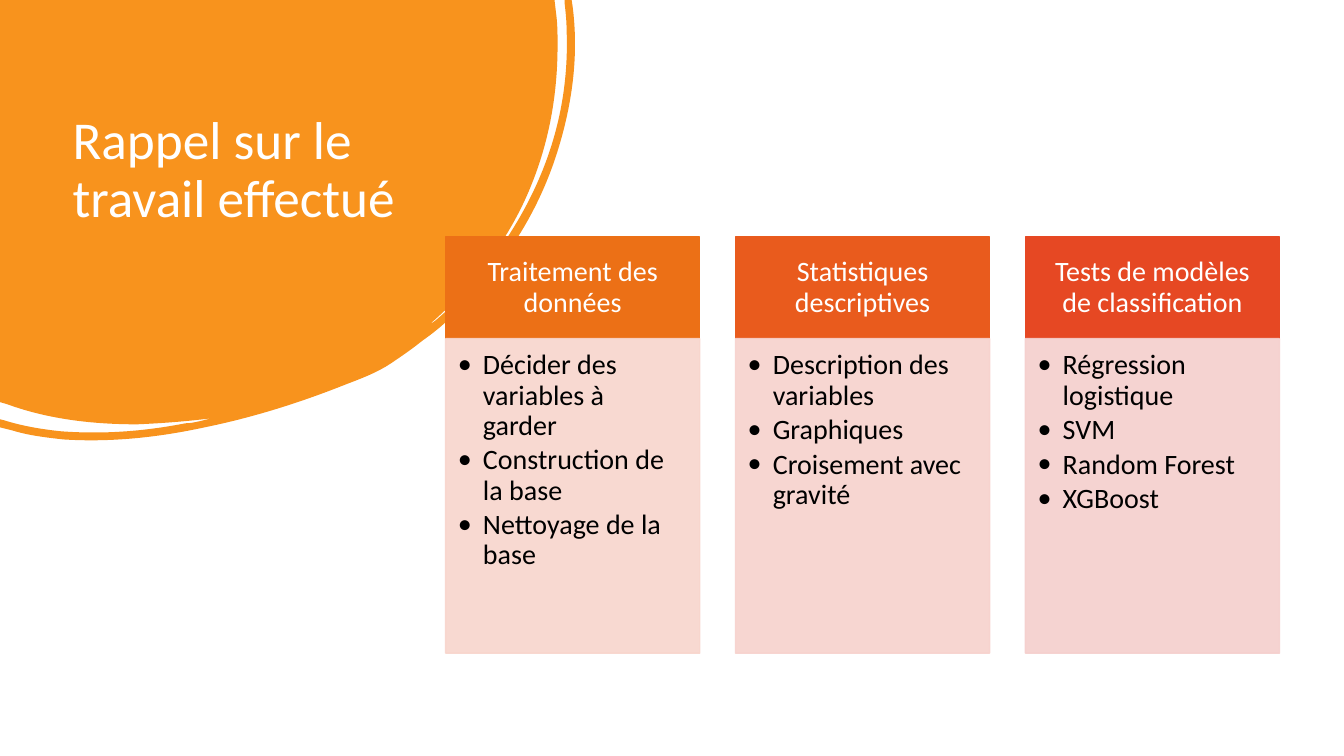
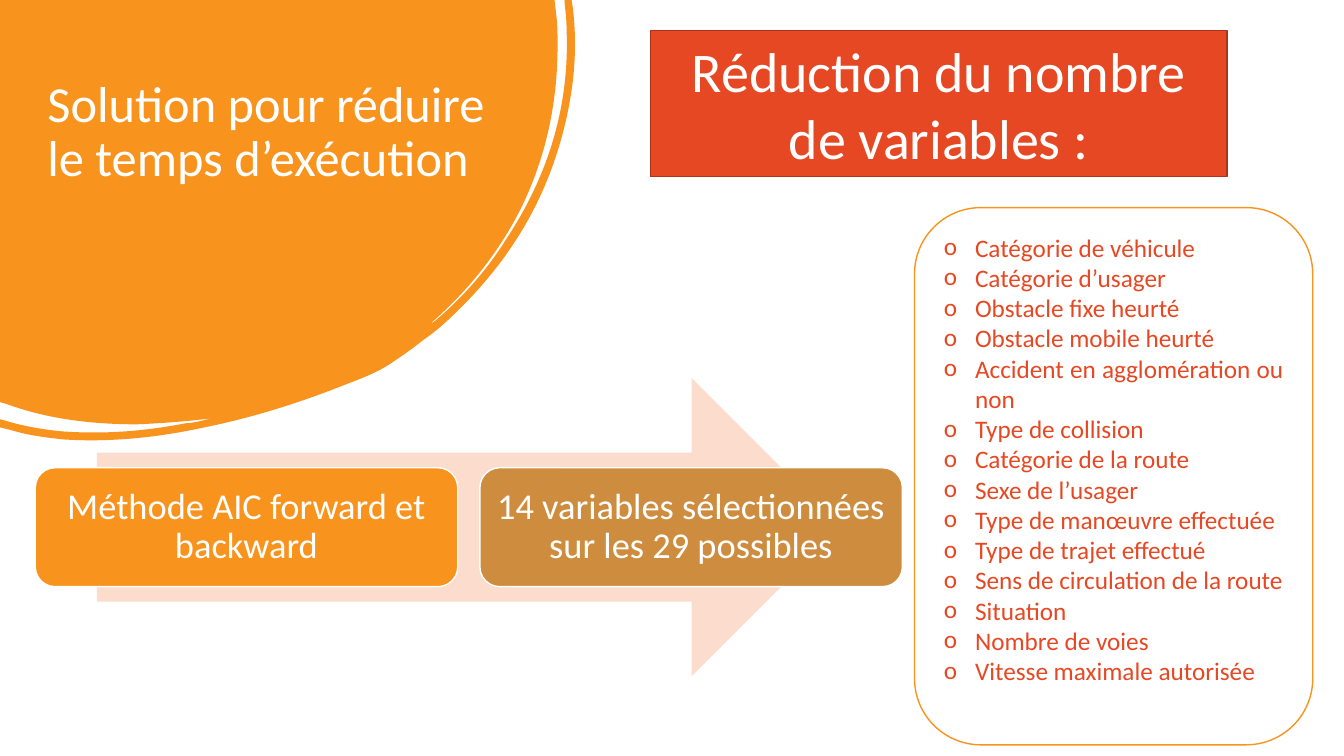
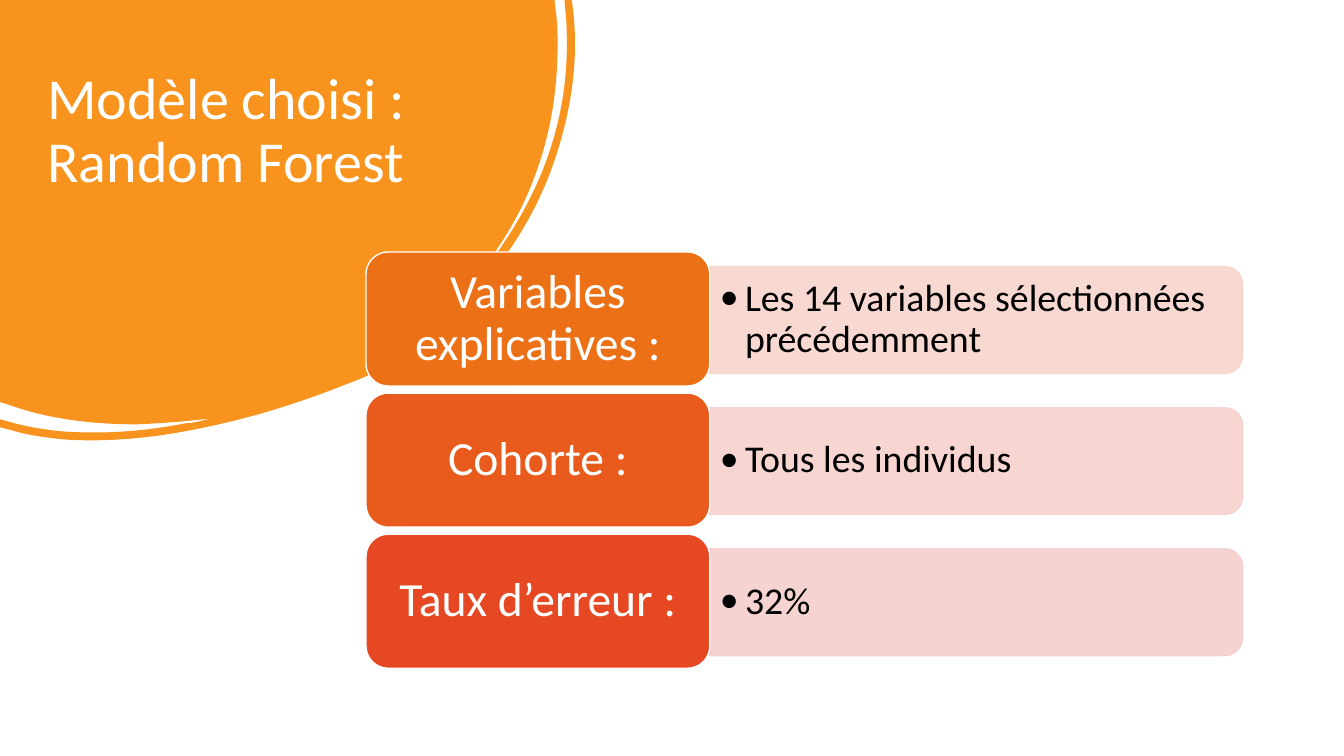
from dataclasses import dataclass

from lxml import etree
from pptx import Presentation
from pptx import util as u
from pptx.dml.color import RGBColor
from pptx.enum import shapes, text
from pptx.oxml.ns import qn

IN = u.Inches
KIND = shapes.MSO_SHAPE
SIDE = text.PP_ALIGN
HOLD = text.MSO_ANCHOR


@dataclass(frozen=True)
class Theme:
    """Colours and type sizes shared by the slides."""
    font: str = "Calibri"
    white: str = "FFFFFF"
    black: str = "000000"
    gold: str = "F8931D"
    tan: str = "CE8D3E"
    peach: str = "FCDCCD"
    red: str = "E64823"
    rust: str = "AA351A"
    heads: tuple = ("EC7016", "E95B1D", "E64823")
    pales: tuple = ("F8D5CC", "F7D2CD", "F5CFCD")
    note: int = 18
    body: int = 20
    step: int = 26
    fact: int = 27
    label: int = 34
    lead: int = 40


T = Theme()

BLOB = [
    (0, 0), (5.5, 0), (5.52, 0.17),
    (5.53, 0.26, 5.53, 0.36, 5.53, 0.45), (5.53, 1.01, 5.42, 1.54, 5.18, 2.04),
    (4.96, 2.49, 4.65, 2.88, 4.27, 3.21), (4.29, 3.21, 4.3, 3.19, 4.32, 3.18),
    (4.59, 2.95, 4.82, 2.69, 5.01, 2.39), (5.43, 1.76, 5.65, 1.07, 5.62, 0.3),
    (5.62, 0.21, 5.61, 0.12, 5.6, 0.03), (5.6, 0), (5.67, 0), (5.68, 0.07),
    (5.74, 0.54, 5.68, 1.02, 5.53, 1.5), (5.33, 2.14, 4.97, 2.68, 4.48, 3.14),
    (4.39, 3.23, 4.29, 3.31, 4.19, 3.38), (4.09, 3.46, 3.99, 3.53, 3.87, 3.61),
    (3.75, 3.69, 3.6, 3.75, 3.44, 3.81), (2.99, 3.99, 2.52, 4.14, 2.03, 4.24),
    (1.57, 4.34, 1.1, 4.39, 0.63, 4.36), (0.45, 4.34, 0.28, 4.32, 0.12, 4.27),
    (0, 4.24), (0, 4.16), (0.04, 4.17),
    (0.23, 4.23, 0.42, 4.26, 0.61, 4.28), (1.03, 4.31, 1.43, 4.28, 1.84, 4.2),
    (1.89, 4.2, 1.93, 4.19, 1.98, 4.18), (2.02, 4.17, 2.06, 4.16, 2.1, 4.15),
    (1.86, 4.18, 1.61, 4.2, 1.36, 4.21), (0.92, 4.21, 0.48, 4.16, 0.07, 4.01),
    (0, 3.99),
]

STAGES = [
    ("Traitement des données",
     ["Décider des variables à garder", "Construction de la base", "Nettoyage de la base"]),
    ("Statistiques descriptives",
     ["Description des variables", "Graphiques", "Croisement avec gravité"]),
    ("Tests de modèles de classification",
     ["Régression logistique", "SVM", "Random Forest", "XGBoost"]),
]

FIELDS = [
    "Catégorie de véhicule", "Catégorie d’usager", "Obstacle fixe heurté",
    "Obstacle mobile heurté", "Accident en agglomération ou non",
    "Type de collision", "Catégorie de la route", "Sexe de l’usager",
    "Type de manœuvre effectuée", "Type de trajet effectué",
    "Sens de circulation de la route", "Situation", "Nombre de voies",
    "Vitesse maximale autorisée",
]

FACTS = [
    ("Variables explicatives :", "Les 14 variables sélectionnées précédemment"),
    ("Cohorte :", "Tous les individus"),
    ("Taux d’erreur :", "32%"),
]


def write(shape, lines, size=T.body, color=T.white, align=SIDE.CENTER, anchor=HOLD.MIDDLE,
          pad=(0.1, 0.05, 0.1, 0.05), space=0.9, after=0, mark=None, dent=0.25):
    """Fill a shape with one formatted paragraph per line."""
    frame = shape.text_frame
    frame.word_wrap = True
    frame.auto_size = text.MSO_AUTO_SIZE.NONE
    frame.vertical_anchor = anchor
    frame.margin_left, frame.margin_top, frame.margin_right, frame.margin_bottom = map(IN, pad)
    lines = [lines] if isinstance(lines, str) else lines
    for i, line in enumerate(lines):
        para = frame.add_paragraph() if i else frame.paragraphs[0]
        para.text = line
        para.alignment = align
        para.line_spacing = space
        para.space_after = u.Pt(after)
        for run in para.runs:
            run.font.name = T.font
            run.font.size = u.Pt(size)
            run.font.color.rgb = RGBColor.from_string(color)
        if mark:
            props = para._p.get_or_add_pPr()
            props.set("marL", str(IN(dent)))
            props.set("indent", str(-IN(dent)))
            etree.SubElement(props, qn("a:buFont"), typeface=T.font)
            etree.SubElement(props, qn("a:buChar"), char=mark)


def paint(shape, fill, line=None, alpha=None):
    """Give a shape its flat fill, outline and opacity."""
    shape.shadow.inherit = False
    shape.fill.solid()
    shape.fill.fore_color.rgb = RGBColor.from_string(fill)
    if line:
        shape.line.color.rgb = RGBColor.from_string(line)
        shape.line.width = u.Pt(1)
    else:
        shape.line.fill.background()
    if alpha:
        for tint in shape.element.spPr.iter(qn("a:srgbClr")):
            etree.SubElement(tint, qn("a:alpha"), val=str(alpha * 1000))


def block(slide, kind, at, fill, line=None, alpha=None):
    """Add a painted preset shape."""
    shape = slide.shapes.add_shape(kind, *map(IN, at))
    paint(shape, fill, line, alpha)
    return shape


def outline(slide, parts):
    """Draw a closed outline of lines and cubic curves."""
    grid = [[round(n * 100) for n in part] for part in parts]
    form = slide.shapes.build_freeform(*grid[0], scale=IN(0.01))
    form.add_line_segments([part[-2:] for part in grid[1:]], close=True)
    shape = form.convert_to_shape()
    edges = list(shape.element.spPr.iter(qn("a:lnTo")))
    for part, edge in zip(grid[1:], edges):
        if len(part) == 6:
            edge.tag = qn("a:cubicBezTo")
            for k in (0, 2):
                node = etree.Element(qn("a:pt"), x=str(part[k]), y=str(part[k + 1]))
                edge.insert(k // 2, node)
    return shape


def begin(deck, title, at, size, anchor=HOLD.TOP):
    """Add a slide with the corner blob and its title."""
    slide = deck.slides.add_slide(deck.slide_layouts[5])
    head = slide.shapes.title
    head.left, head.top, head.width, head.height = map(IN, at)
    write(head, title, size=size, align=SIDE.LEFT, anchor=anchor)
    blob = outline(slide, BLOB)
    paint(blob, T.gold)
    head.element.addprevious(blob.element)
    return slide


def recap(deck):
    """Build the three columns of work done."""
    slide = begin(deck, "Rappel sur le travail effectué", (0.62, 0.59, 3.52, 2.22), 38, HOLD.MIDDLE)
    for i, (name, items) in enumerate(STAGES):
        left = 4.42 + 5.75 * i / 2
        head = block(slide, KIND.RECTANGLE, (left, 2.35, 2.52, 1.01), T.heads[i], T.heads[i])
        write(head, name, pad=(0.16, 0.09, 0.16, 0.09))
        body = block(slide, KIND.RECTANGLE, (left, 3.36, 2.52, 3.12), T.pales[i], T.pales[i], 90)
        write(body, items, color=T.black, align=SIDE.LEFT, anchor=HOLD.TOP,
              pad=(0.12, 0.12, 0.16, 0.17), after=3, mark="•")


def reduce(deck):
    """Build the arrow of steps and the list of fields kept."""
    slide = begin(deck, "Solution pour réduire le temps d’exécution", (0.37, 0.73, 4.97, 1.7), 36)
    block(slide, KIND.RIGHT_ARROW, (0.96, 3.75, 7.38, 2.96), T.peach)
    steps = [("Méthode AIC forward et backward", T.gold),
             ("14 variables sélectionnées sur les 29 possibles", T.tan)]
    for i, (name, fill) in enumerate(steps):
        step = block(slide, KIND.ROUNDED_RECTANGLE, (0.35 + 4.41 * i, 4.64, 4.19, 1.18), fill, T.white)
        write(step, name, size=T.step, pad=(0.11,) * 4)
    lead = block(slide, KIND.RECTANGLE, (6.45, 0.3, 5.72, 1.45), T.red, T.rust)
    write(lead, "Réduction du nombre de variables :", size=T.lead, space=1)
    card = block(slide, KIND.ROUNDED_RECTANGLE, (9.07, 2.06, 3.95, 5.33), T.white, T.gold)
    write(card, FIELDS, size=T.note, color=T.red, align=SIDE.JUSTIFY, anchor=HOLD.TOP,
          space=1, mark="o", dent=0.31)


def model(deck):
    """Build the rows of facts on the chosen model."""
    slide = begin(deck, "Modèle choisi : \vRandom Forest", (0.37, 0.64, 4.28, 1.47), 41.4)
    for i, (name, fact) in enumerate(FACTS):
        top = 2.5 + 1.4 * i
        band = block(slide, KIND.ROUND_2_SAME_RECTANGLE, (9.15, top - 1.97, 1.06, 5.29),
                     T.pales[i], T.pales[i], 90)
        band.rotation = 90
        body = slide.shapes.add_textbox(*map(IN, (7.03, top + 0.19, 5.24, 0.96)))
        write(body, fact, size=T.fact, color=T.black, align=SIDE.LEFT,
              pad=(0.11, 0.06, 0.11, 0.06), mark="•")
        label = block(slide, KIND.ROUNDED_RECTANGLE, (3.63, top, 3.41, 1.33), T.heads[i], T.white)
        write(label, name, size=T.label, pad=(0.14, 0.07, 0.14, 0.07))


def main():
    """Build and save the deck."""
    deck = Presentation()
    deck.slide_width, deck.slide_height = IN(13.33), IN(7.5)
    recap(deck)
    reduce(deck)
    model(deck)
    deck.save("out.pptx")


if __name__ == "__main__":
    main()
